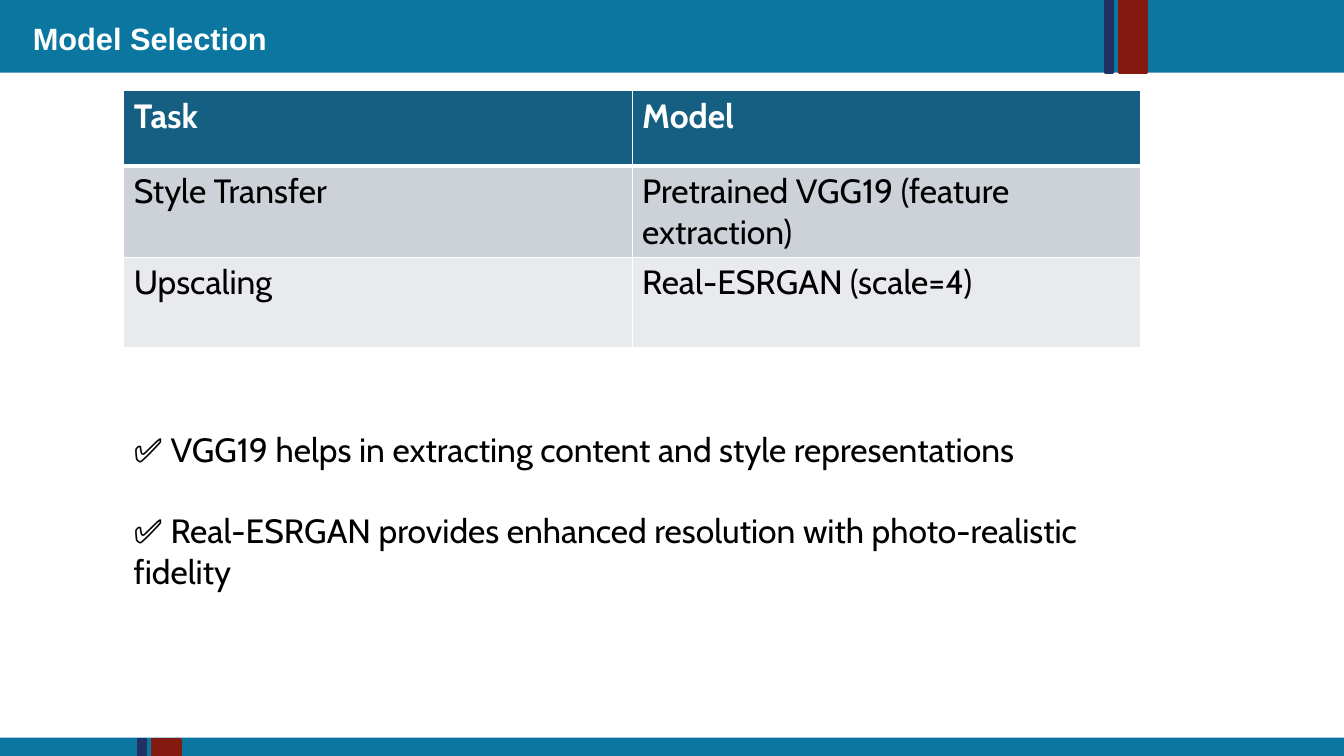
from lxml import etree
from pptx import Presentation, util as u
from pptx.dml.color import RGBColor
from pptx.enum import shapes, text
from pptx.oxml import ns

COLORS = dict(teal="0B76A0", red="841910", navy="213163", white="FFFFFF", black="000000",
              header="156082", odd="CCD2D8", even="E8EAED")
ROWS = [("Task", "Model"),
        ("Style Transfer", "Pretrained VGG19 (feature extraction)"),
        ("Upscaling", "Real-ESRGAN (scale=4)")]
POINTS = ["✅ VGG19 helps in extracting content and style representations",
          "✅ Real-ESRGAN provides enhanced resolution with photo-realistic fidelity"]
WIDTH, HEIGHT = 33.87, 19.05


class Deck:
    """Hold the style and the current slide, and draw each kind of element."""

    title = dict(name="Arial", size=u.Pt(22), bold=True)
    head = dict(name="Cabin", size=u.Pt(24), bold=True)
    body = dict(name="Cabin", size=u.Pt(24), bold=False)

    def __init__(self):
        self.prs = Presentation()
        self.prs.slide_width, self.prs.slide_height = u.Cm(WIDTH), u.Cm(HEIGHT)
        self.s = self.prs.slides.add_slide(self.prs.slide_layouts[6])

    def paint(self, fill, color):
        fill.solid()
        fill.fore_color.rgb = RGBColor.from_string(COLORS[color])

    def add_words(self, p, words, style, color):
        r = p.add_run()
        r.text = words
        for key, value in style.items():
            setattr(r.font, key, value)
        self.paint(r.font.fill, color)

    def rect(self, x, y, w, h, color, outlined=False):
        sp = self.s.shapes.add_shape(shapes.MSO_SHAPE.RECTANGLE, *map(u.Cm, (x, y, w, h)))
        sp.shadow.inherit = False
        self.paint(sp.fill, color)
        if outlined:
            self.paint(sp.line.fill, color)
            sp.line.width = u.Pt(1.5)
        else:
            sp.line.fill.background()

    def stripes(self, x, y, h):
        self.rect(x + 0.36, y, 0.71, h, "red", True)
        self.rect(x, y, 0.2, h, "navy", True)

    def textbox(self, x, y, w, h, lines, style, color, gap=0, **frame):
        tf = self.s.shapes.add_textbox(*map(u.Cm, (x, y, w, h))).text_frame
        frame = dict(word_wrap=True, vertical_anchor=text.MSO_ANCHOR.TOP, **frame)
        for key, value in frame.items():
            setattr(tf, key, value)
        for i, line in enumerate(lines):
            p = tf.add_paragraph() if i else tf.paragraphs[0]
            p.space_before = u.Pt(gap if i else 0)
            self.add_words(p, line, style, color)

    def borders(self, cell, bottom):
        tc_pr = cell._tc.get_or_add_tcPr()
        for side, width in dict(lnL=1, lnR=1, lnT=1, lnB=bottom).items():
            ln = etree.SubElement(tc_pr, ns.qn(f"a:{side}"), w=str(u.Pt(width)))
            fill = etree.SubElement(ln, ns.qn("a:solidFill"))
            etree.SubElement(fill, ns.qn("a:srgbClr"), val=COLORS["white"])

    def table(self, x, y, w, heights, rows):
        size = map(u.Cm, (x, y, w, sum(heights)))
        table = self.s.shapes.add_table(len(rows), len(rows[0]), *size).table
        for i, (row, height) in enumerate(zip(rows, heights)):
            table.rows[i].height = u.Cm(height)
            style, color = (self.body, "black") if i else (self.head, "white")
            fill = ("odd" if i % 2 else "even") if i else "header"
            for j, words in enumerate(row):
                cell = table.cell(i, j)
                self.borders(cell, 1 if i else 3)
                self.paint(cell.fill, fill)
                self.add_words(cell.text_frame.paragraphs[0], words, style, color)


def main():
    d = Deck()
    d.rect(0, 0, WIDTH, 1.83, "teal")
    d.rect(0, 18.59, WIDTH, 0.46, "teal")
    d.stripes(27.84, 0, 1.83)
    d.stripes(3.48, 18.62, 0.43)
    d.textbox(0.58, 0.33, 32.72, 1.09, ["Model Selection"], d.title, "white",
              margin_top=u.Cm(0.18))
    d.table(3.12, 2.29, 25.62, [1.9, 2.29, 2.29], ROWS)
    d.textbox(3.12, 10.69, 25.62, 5.38, POINTS, d.body, "black", gap=29,
              auto_size=text.MSO_AUTO_SIZE.SHAPE_TO_FIT_TEXT)
    d.prs.save("out.pptx")


if __name__ == "__main__":
    main()
